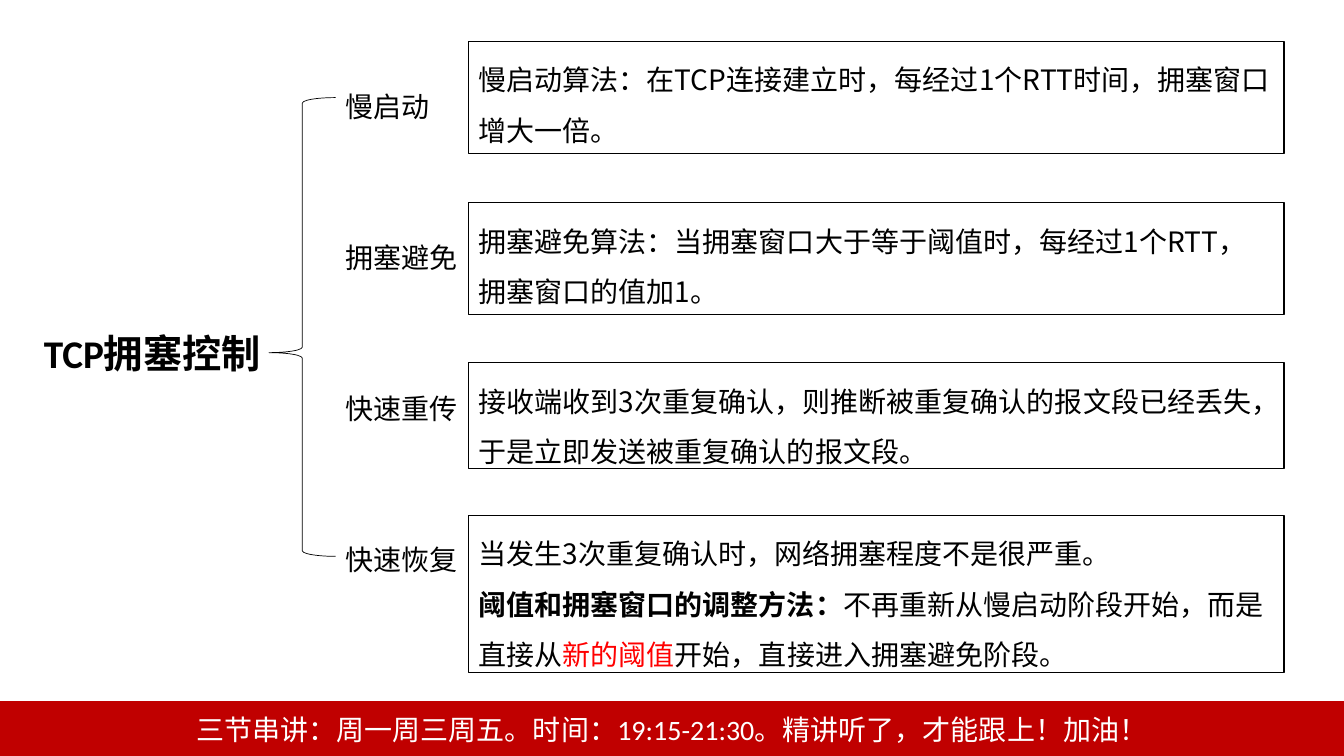
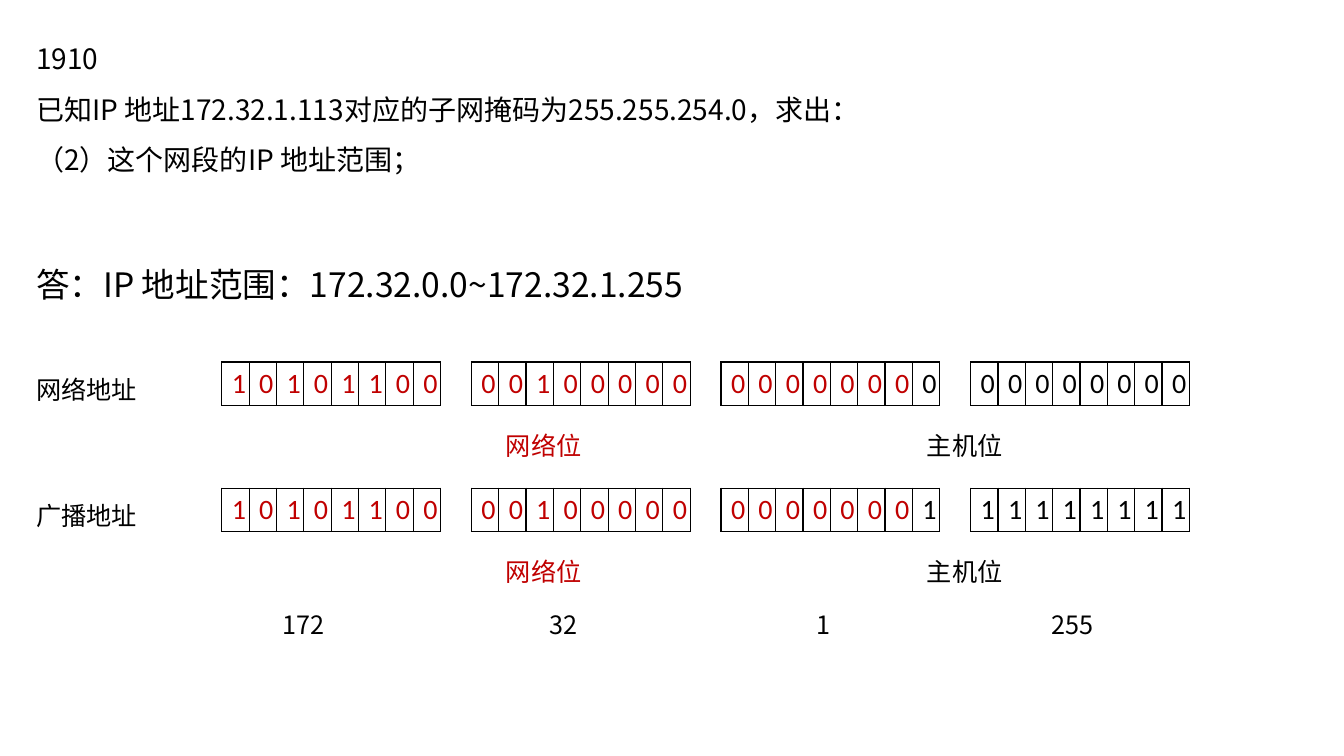
from lxml.etree import SubElement
from pptx import Presentation
from pptx.dml.color import RGBColor
from pptx.enum.shapes import MSO_SHAPE as Kind
from pptx.enum.text import MSO_ANCHOR as Anchor, PP_ALIGN as Align
from pptx.oxml import parse_xml
from pptx.oxml.ns import nsdecls, qn
from pptx.util import Cm, Pt

HAN = "Noto Sans CJK SC"
LATIN = "Calibri"
BLACK, WHITE, DEEP, RED = "000000", "FFFFFF", "C00000", "FF0000"
WIDE, HIGH = 33.87, 19.05

BODY = {"size": Pt(20), "name": HAN, "bold": False}
NOTE = {**BODY, "size": Pt(18)}
REPLY = {**BODY, "size": Pt(24)}
BIT = {**BODY, "name": LATIN}
TITLE = {"size": Pt(28), "name": LATIN, "bold": True}
OPEN = {"line_spacing": 1.5, "alignment": Align.LEFT}
MID = {"alignment": Align.CENTER}

STAGES = [
    (1.04, 2.82, ["慢启动算法：在TCP连接建立时，每经过1个RTT时间，拥塞窗口增大一倍。"]),
    (5.11, 2.82, ["拥塞避免算法：当拥塞窗口大于等于阈值时，每经过1个RTT，拥塞窗口的值加1。"]),
    (9.14, 2.67, ["接收端收到3次重复确认，则推断被重复确认的报文段已经丢失，于是立即发送被重复确认的报文段。"]),
    (12.98, 3.96, [
        "当发生3次重复确认时，网络拥塞程度不是很严重。",
        [("阈值和拥塞窗口的调整方法：", {"bold": True}),
         ("不再重新从慢启动阶段开始，而是直接从", {}),
         ("新的阈值", {"hue": RED}),
         ("开始，直接进入拥塞避免阶段。", {})],
    ]),
]
NAMES = ["慢启动", "拥塞避免", "快速重传", "快速恢复"]
ASK = ["1910", "已知IP 地址172.32.1.113对应的子网掩码为255.255.254.0，求出：", "（2）这个网段的IP 地址范围；"]
NET_BITS = 23
ROWS = [("网络地址", [172, 32, 0, 0]), ("广播地址", [172, 32, 1, 255])]
SUMS = [("172", 6.88), ("32", 13.59), ("1", 20.32), ("255", 26.26)]


def paint(part, tone):
    if hasattr(part, "solid"):
        part.solid()
        part.fore_color.rgb = RGBColor.from_string(tone)
    else:
        part.color.rgb = RGBColor.from_string(tone)


def apply(item, style):
    for key, value in style.items():
        setattr(item, key, value)


def add_run(para, text, look, tone):
    run = para.add_run()
    run.text = text
    apply(run.font, look)
    paint(run.font, tone)
    SubElement(run.font._element, qn("a:ea"), typeface=HAN)


def write(frame, lines, look, flow=OPEN, tone=BLACK, gap=0):
    frame.word_wrap = True
    for i, line in enumerate(lines):
        para = frame.paragraphs[0] if i == 0 else frame.add_paragraph()
        apply(para, flow)
        if i and gap:
            para.space_before = Pt(gap)
        parts = [(line, {})] if isinstance(line, str) else line
        for text, extra in parts:
            extra = dict(extra)
            shade = extra.pop("hue", tone)
            add_run(para, text, {**look, **extra}, shade)


def add_text(slide, box, lines, look, **more):
    area = slide.shapes.add_textbox(*map(Cm, box))
    write(area.text_frame, lines, look, **more)


def add_form(slide, kind, box, line=BLACK, width=0.75, fill=None):
    form = slide.shapes.add_shape(kind, *map(Cm, box))
    form.shadow.inherit = False
    if fill:
        paint(form.fill, fill)
    else:
        form.fill.background()
    paint(form.line, line)
    form.line.width = Pt(width)
    form.text_frame.vertical_anchor = Anchor.TOP
    return form


def add_foot(slide, box):
    band = add_form(slide, Kind.RECTANGLE, box, DEEP, 1, DEEP)
    band.text_frame.vertical_anchor = Anchor.MIDDLE
    write(band.text_frame, ["三节串讲：周一周三周五。时间：19:15-21:30。精讲听了，才能跟上！加油！"],
          BIT, flow=MID, tone=WHITE)


def add_tree(slide, box):
    left, top, width, height = box
    add_text(slide, (left + 8.46, top + 1.7, 9.37, 13.08), NAMES, BODY, gap=72)
    brace = add_form(slide, Kind.LEFT_BRACE, (left + 6.78, top + 2.46, 1.68, 11.56), width=0.5)
    brace.adjustments[0] = 0.083
    brace.adjustments[1] = 0.556
    for y, tall, lines in STAGES:
        card = add_form(slide, Kind.RECTANGLE, (left + 11.81, top + y, width - 13.32, tall))
        write(card.text_frame, lines, BODY)
    add_text(slide, (left, top + 8.18, 7.67, 1.45), ["TCP拥塞控制"], TITLE, flow=MID)


def rule_cell(cell):
    cell.fill.background()
    props = cell._tc.get_or_add_tcPr()
    for i, side in enumerate("LRTB"):
        props.insert(i, parse_xml(
            f'<a:ln{side} {nsdecls("a")} w="12700"><a:solidFill>'
            f'<a:srgbClr val="{BLACK}"/></a:solidFill></a:ln{side}>'))


def add_byte(slide, box, value, first):
    grid = slide.shapes.add_table(1, 8, *map(Cm, box)).table
    grid.first_row = grid.horz_banding = False
    for i, bit in enumerate(f"{value:08b}"):
        grid.columns[i].width = Cm(box[2] / 8)
        cell = grid.cell(0, i)
        rule_cell(cell)
        write(cell.text_frame, [bit], BIT, flow={}, tone=DEEP if first + i < NET_BITS else BLACK)


def add_row(slide, box, name, octets):
    left, top, width, height = box
    add_text(slide, (left, top - 0.2, 3.33, 1.4), [name], NOTE)
    for i, value in enumerate(octets):
        add_byte(slide, (left + 4.93 + 6.29 * i, top, 5.52, height), value, 8 * i)
    for text, x, tone in (("网络位", 11.84, DEEP), ("主机位", 22.45, BLACK)):
        add_text(slide, (left + x, top + 1.22, 3.33, 1.27), [text], NOTE, tone=tone)


def add_task(slide, box):
    left, top, width, height = box
    add_text(slide, (left, top, width, 4.11), ASK, BODY)
    add_text(slide, (left, top + 5.51, width, 1.8), ["答：IP 地址范围：172.32.0.0~172.32.1.255"], REPLY)
    for i, (name, octets) in enumerate(ROWS):
        add_row(slide, (left, top + 8.61 + 3.18 * i, width, 1.1), name, octets)
    for text, x in SUMS:
        add_text(slide, (x, top + 14.35, 3, 1.27), [text], NOTE)


def main():
    deck = Presentation()
    deck.slide_width, deck.slide_height = Cm(WIDE), Cm(HIGH)
    blank = deck.slide_layouts[6]
    tree = deck.slides.add_slide(blank)
    add_tree(tree, (0, 0, WIDE, HIGH))
    add_foot(tree, (0, 17.68, WIDE, 1.37))
    add_task(deck.slides.add_slide(blank), (0.66, 0.51, 31.88, 17))
    deck.save("out.pptx")


if __name__ == "__main__":
    main()
